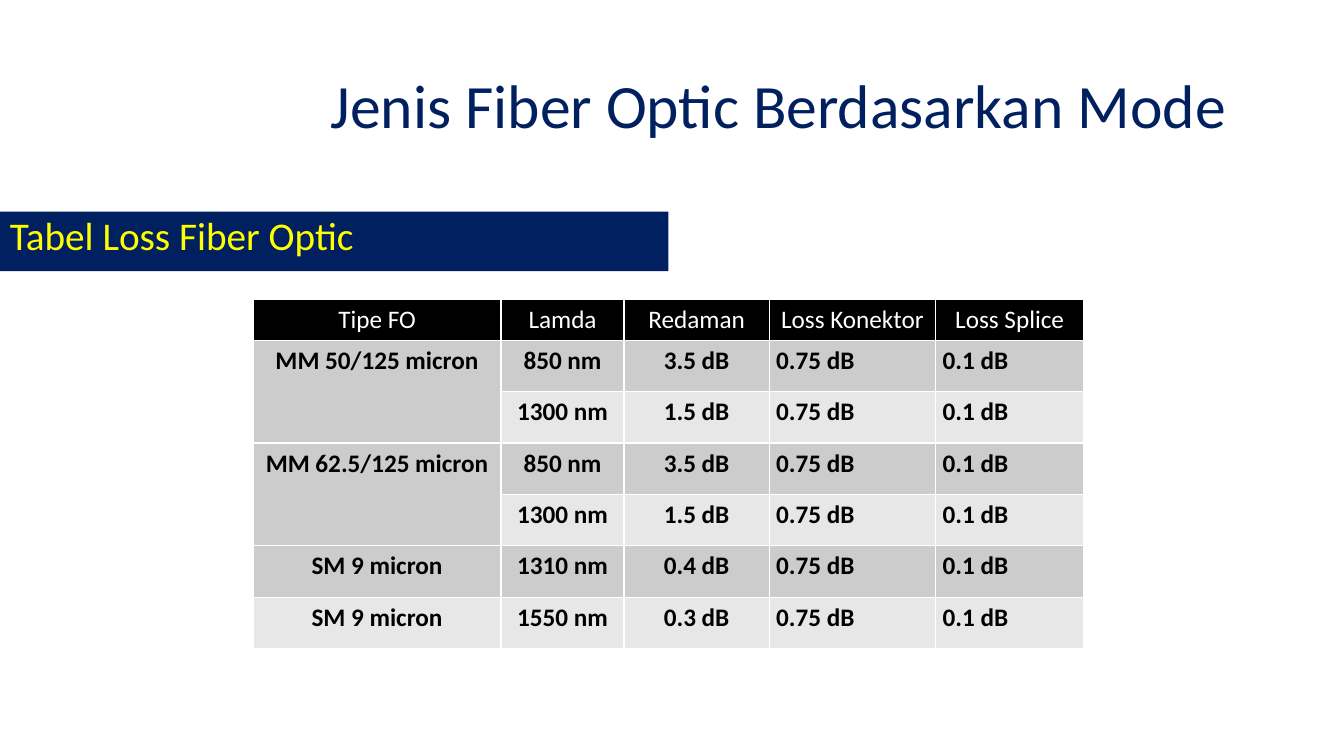
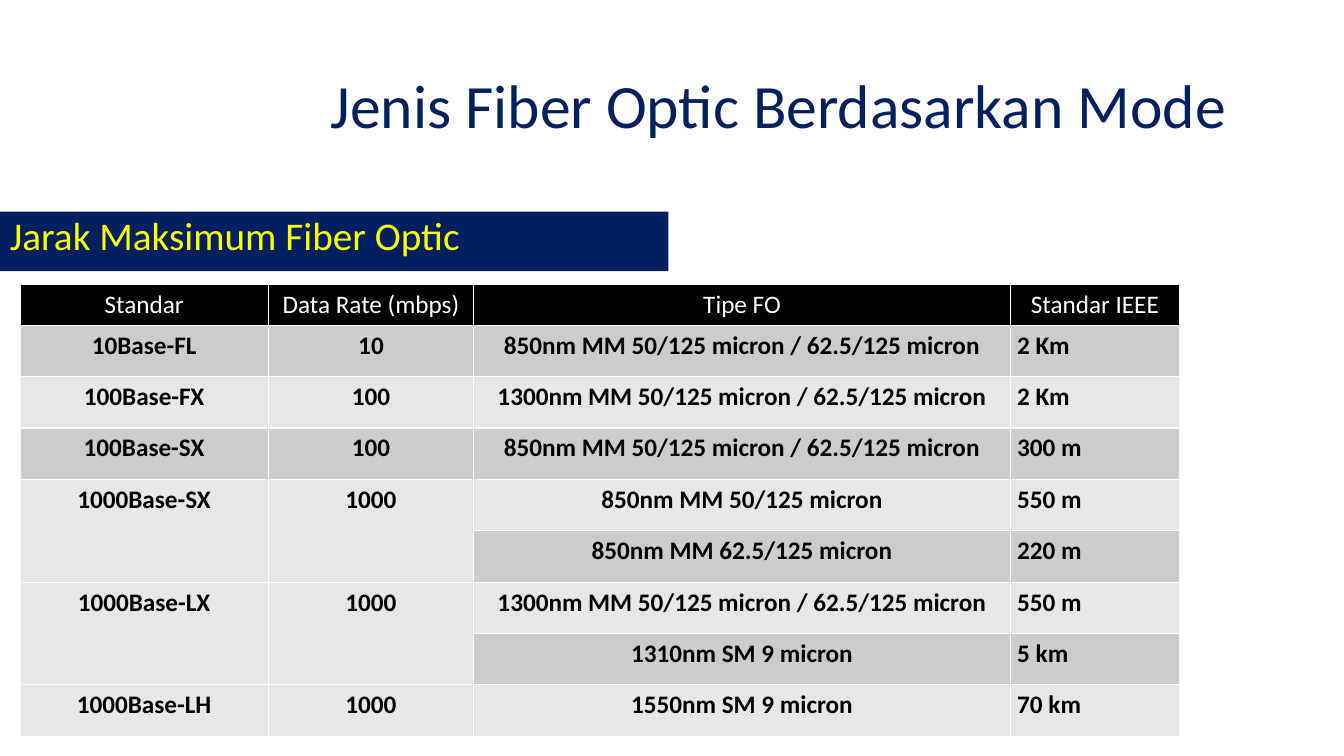
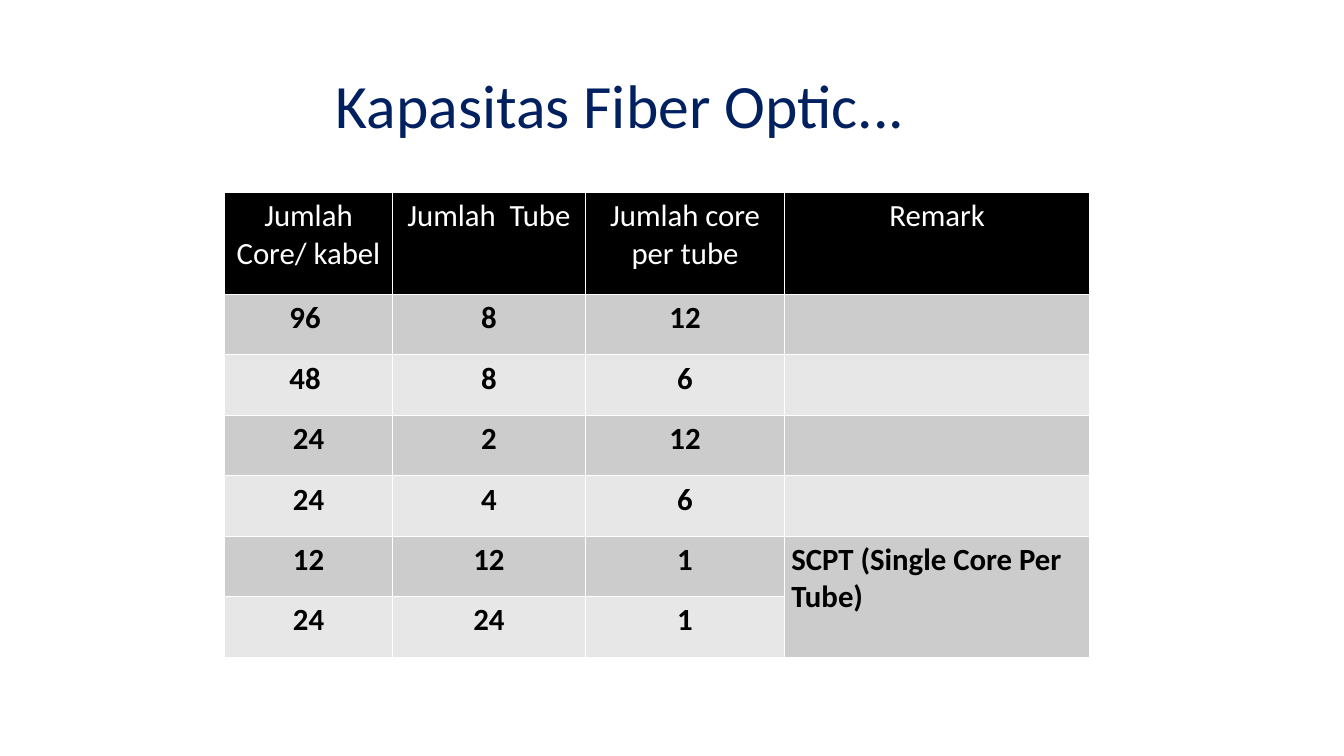
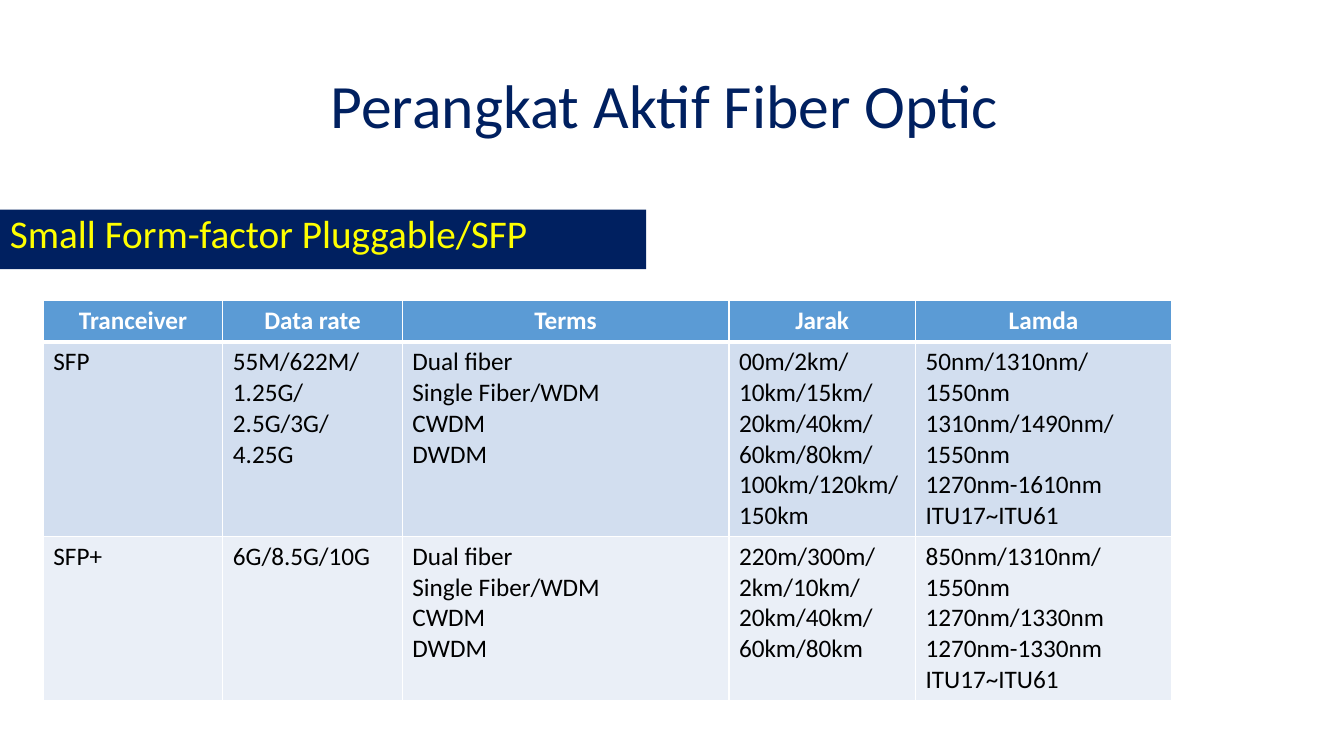
from lxml import etree
from pptx import Presentation
from pptx import util as u
from pptx.dml.color import RGBColor
from pptx.enum import shapes, text
from pptx.oxml import ns

PX = 9144  # 100 px to the inch
FONT = "Calibri"
NAVY = RGBColor(0x00, 0x20, 0x60)
YELLOW = RGBColor(0xFF, 0xFF, 0x00)
WHITE = RGBColor(0xFF, 0xFF, 0xFF)
BLACK = RGBColor(0x00, 0x00, 0x00)
GREY = RGBColor(0xCC, 0xCC, 0xCC)
PALE_GREY = RGBColor(0xE7, 0xE7, 0xE7)
BLUE = RGBColor(0x5B, 0x9B, 0xD5)
ICE = RGBColor(0xD2, 0xDE, 0xEF)
PALE_ICE = RGBColor(0xEA, 0xEF, 0xF7)
LEFT, CENTER = text.PP_ALIGN.LEFT, text.PP_ALIGN.CENTER

MONO = dict(header=BLACK, bands=(GREY, PALE_GREY), bold_header=False,
            bold_body=True, margin=7, rule=1)
AZURE = dict(header=BLUE, bands=(ICE, PALE_ICE), bold_header=True,
             bold_body=False, margin=10, rule=3)

# In table rows, None continues the cell above; line breaks start paragraphs.
# "centered" counts the leading body columns that are centred.
TERMS = "Dual fiber\nSingle Fiber/WDM\nCWDM\nDWDM"
SLIDES = [
    dict(
        title="Jenis Fiber Optic Berdasarkan Mode", title_box=(318, 35, 1009, 145),
        band="Tabel Loss Fiber Optic", band_box=(0, 210, 663, 59),
        at=(251, 297), columns=(246, 122, 144, 165, 147), heights=[39] + [51] * 6,
        style=MONO, size=18, centered=3,
        rows=[
            ("Tipe FO", "Lamda", "Redaman", "Loss Konektor", "Loss Splice"),
            ("MM 50/125 micron", "850 nm", "3.5 dB", "0.75 dB", "0.1 dB"),
            (None, "1300 nm", "1.5 dB", "0.75 dB", "0.1 dB"),
            ("MM 62.5/125 micron", "850 nm", "3.5 dB", "0.75 dB", "0.1 dB"),
            (None, "1300 nm", "1.5 dB", "0.75 dB", "0.1 dB"),
            ("SM 9 micron", "1310 nm", "0.4 dB", "0.75 dB", "0.1 dB"),
            ("SM 9 micron", "1550 nm", "0.3 dB", "0.75 dB", "0.1 dB"),
        ]),
    dict(
        title="Jenis Fiber Optic Berdasarkan Mode", title_box=(318, 35, 1009, 145),
        band="Jarak Maksimum Fiber Optic", band_box=(0, 210, 663, 59),
        at=(20, 282), columns=(246, 204, 532, 168), heights=[39] + [51] * 8,
        style=MONO, size=18, centered=3,
        rows=[
            ("Standar", "Data Rate (mbps)", "Tipe FO", "Standar IEEE"),
            ("10Base-FL", "10", "850nm MM 50/125 micron / 62.5/125 micron", "2 Km"),
            ("100Base-FX", "100", "1300nm MM 50/125 micron / 62.5/125 micron", "2 Km"),
            ("100Base-SX", "100", "850nm MM 50/125 micron / 62.5/125 micron", "300 m"),
            ("1000Base-SX", "1000", "850nm MM 50/125 micron", "550 m"),
            (None, None, "850nm MM 62.5/125 micron", "220 m"),
            ("1000Base-LX", "1000", "1300nm MM 50/125 micron / 62.5/125 micron", "550 m"),
            (None, None, "1310nm SM 9 micron", "5 km"),
            ("1000Base-LH", "1000", "1550nm SM 9 micron", "70 km"),
        ]),
    dict(
        title="Kapasitas Fiber Optic...", title_box=(323, 35, 691, 145),
        at=(223, 191), columns=(166, 192, 197, 303), heights=[101] + [60] * 6,
        style=MONO, size=22, centered=3,
        rows=[
            ("Jumlah Core/ kabel", "Jumlah  Tube", "Jumlah core per tube", "Remark"),
            ("96 ", "8", "12", ""),
            ("48 ", "8", "6", ""),
            ("24", "2", "12", ""),
            ("24", "4", "6", ""),
            ("12", "12", "1", "SCPT (Single Core Per Tube)"),
            ("24", "24", "1", None),
        ]),
    dict(
        title="Perangkat Aktif Fiber Optic", title_box=(318, 35, 1009, 145),
        band="Small Form-factor Pluggable/SFP", band_box=(0, 208, 641, 59),
        at=(43, 298), columns=(178, 178, 324, 185, 254), heights=[41, 193, 162],
        style=AZURE, size=18, centered=0,
        rows=[
            ("Tranceiver", "Data rate", "Terms", "Jarak", "Lamda"),
            ("SFP", "55M/622M/\n1.25G/\n2.5G/3G/\n4.25G", TERMS,
             "00m/2km/\n10km/15km/\n20km/40km/\n60km/80km/\n100km/120km/\n150km",
             "50nm/1310nm/1550nm\n1310nm/1490nm/1550nm\n1270nm-1610nm\nITU17~ITU61"),
            ("SFP+", "6G/8.5G/10G", TERMS,
             "220m/300m/\n2km/10km/\n20km/40km/\n60km/80km",
             "850nm/1310nm/1550nm\n1270nm/1330nm\n1270nm-1330nm\nITU17~ITU61"),
        ]),
]


def px(*lengths):
    return [u.Emu(length * PX) for length in lengths]


def write(frame, words, size, color, bold=False, align=LEFT, spacing=None):
    frame.word_wrap = True
    for index, line in enumerate(words.split("\n")):
        para = frame.add_paragraph() if index else frame.paragraphs[0]
        para.alignment = align
        para.line_spacing = spacing
        para.font.size = u.Pt(size)
        if line:
            span = para.add_run()
            span.text = line
            span.font.name, span.font.size = FONT, u.Pt(size)
            span.font.bold, span.font.color.rgb = bold, color


def add_title(slide, words, box):
    title = slide.shapes.title
    title.left, title.top, title.width, title.height = px(*box)
    frame = title.text_frame
    frame.auto_size = text.MSO_AUTO_SIZE.NONE
    frame.vertical_anchor = text.MSO_ANCHOR.MIDDLE
    write(frame, words, 44, NAVY, spacing=0.9)


def add_band(slide, words, box):
    band = slide.shapes.add_shape(shapes.MSO_SHAPE.RECTANGLE, *px(*box))
    band.shadow.inherit = False
    band.fill.solid()
    band.fill.fore_color.rgb = NAVY
    band.line.fill.background()
    band.text_frame.vertical_anchor = text.MSO_ANCHOR.TOP
    write(band.text_frame, words, 28, YELLOW, spacing=0.9)


def set_borders(cell, top, bottom):
    """Draw white borders; top and bottom are widths in points."""
    properties = cell._tc.get_or_add_tcPr()
    for side, width in (("L", 1), ("R", 1), ("T", top), ("B", bottom)):
        line = etree.SubElement(properties, ns.qn(f"a:ln{side}"), w=str(u.Pt(width)))
        fill = etree.SubElement(line, ns.qn("a:solidFill"))
        etree.SubElement(fill, ns.qn("a:srgbClr"), val=str(WHITE))


def add_table(slide, rows, at, columns, heights, style, size, centered):
    table = slide.shapes.add_table(
        len(rows), len(columns), *px(*at, sum(columns), sum(heights))).table
    for column, width in zip(table.columns, px(*columns)):
        column.width = width
    for row, height in zip(table.rows, px(*heights)):
        row.height = height
    for r, row in enumerate(rows):
        header = r == 0
        for c, words in enumerate(row):
            cell = table.cell(r, c)
            set_borders(cell, style["rule"] if r == 1 else 1,
                        style["rule"] if header else 1)
            cell.fill.solid()
            cell.fill.fore_color.rgb = (
                style["header"] if header else style["bands"][(r - 1) % 2])
            cell.margin_left = cell.margin_right = u.Emu(style["margin"] * PX)
            cell.margin_top = cell.margin_bottom = u.Emu(5 * PX)
            if words is None:
                table.cell(r - 1, c).merge(cell)
                continue
            write(cell.text_frame, words, size, WHITE if header else BLACK,
                  bold=style["bold_header" if header else "bold_body"],
                  align=CENTER if header or c < centered else LEFT)


def main():
    deck = Presentation()
    deck.slide_width, deck.slide_height = px(1333, 750)
    for content in SLIDES:
        slide = deck.slides.add_slide(deck.slide_layouts[5])
        add_title(slide, content["title"], content["title_box"])
        if "band" in content:
            add_band(slide, content["band"], content["band_box"])
        add_table(slide, *(content[key] for key in (
            "rows", "at", "columns", "heights", "style", "size", "centered")))
    deck.save("out.pptx")


if __name__ == "__main__":
    main()
